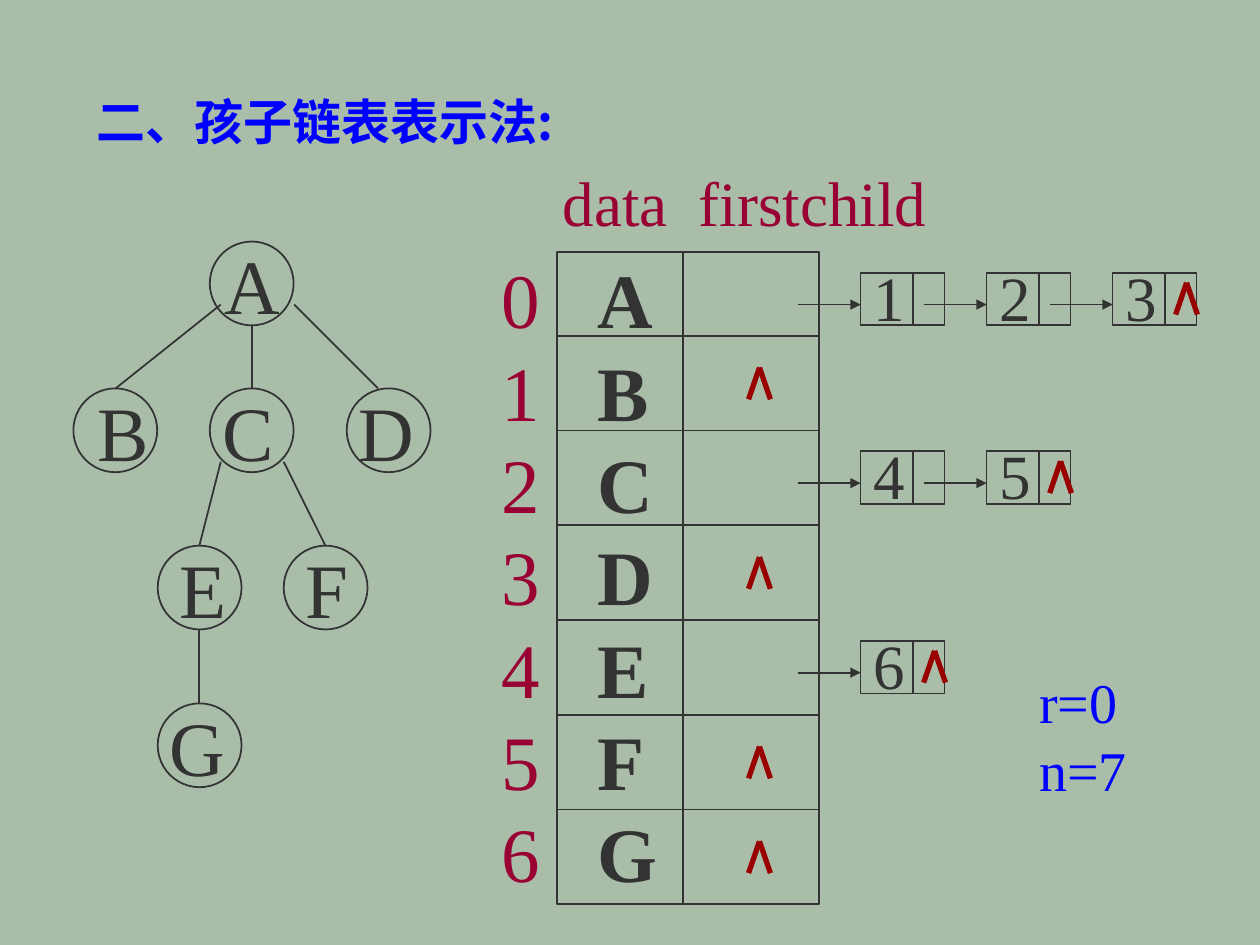
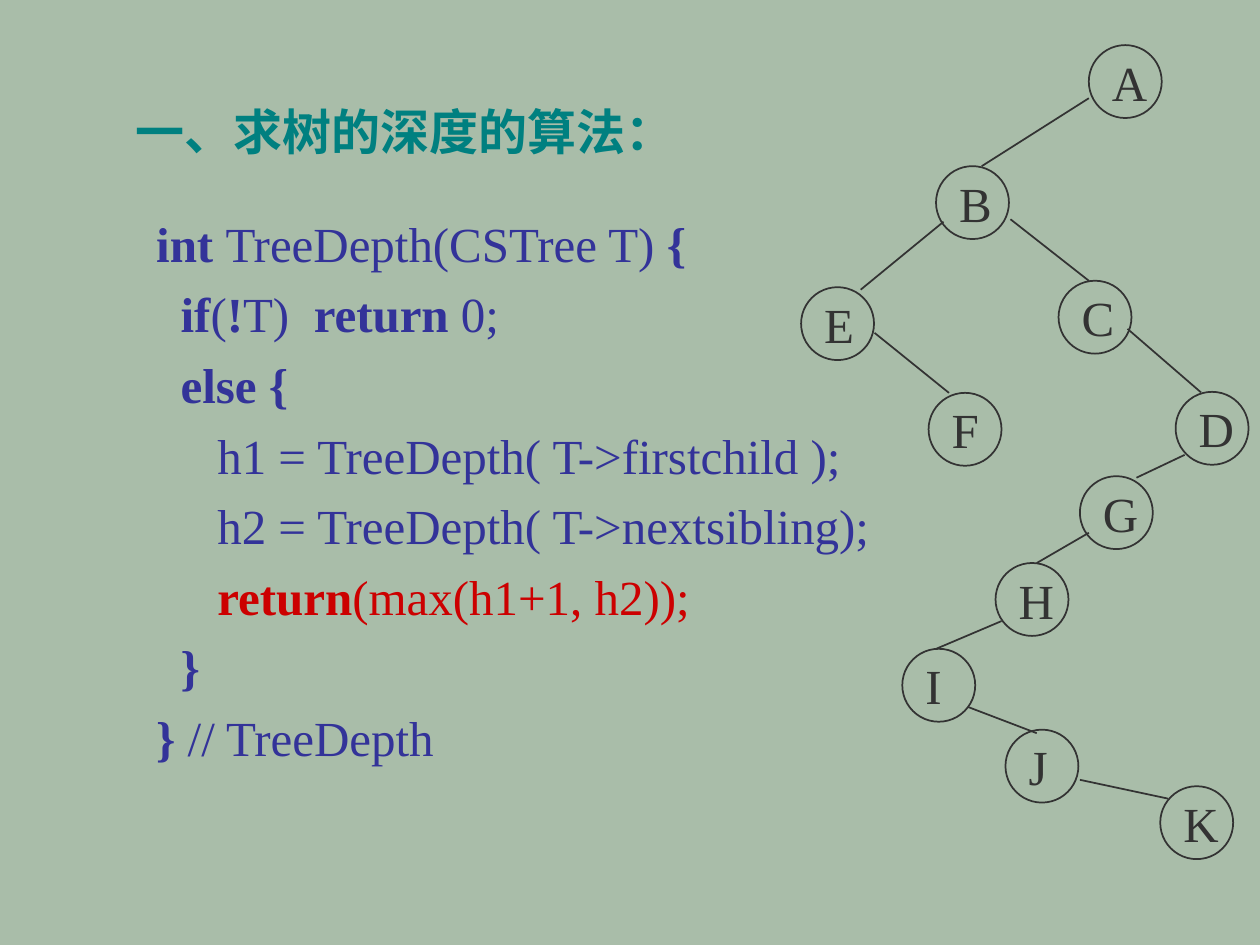
from lxml import etree
from pptx import Presentation
from pptx.dml.color import RGBColor
from pptx.enum.shapes import MSO_CONNECTOR, MSO_SHAPE
from pptx.enum.text import MSO_ANCHOR, PP_ALIGN
from pptx.oxml.ns import qn
from pptx.util import Cm, Pt

OVAL, RECTANGLE = MSO_SHAPE.OVAL, MSO_SHAPE.RECTANGLE
STRAIGHT = MSO_CONNECTOR.STRAIGHT
MIDDLE, LEFT = MSO_ANCHOR.MIDDLE, PP_ALIGN.LEFT

BACKGROUND = RGBColor(0xA9, 0xBD, 0xA9)
INK = RGBColor(0x33, 0x33, 0x33)
CRIMSON = RGBColor(0x99, 0x00, 0x33)
NULL_RED = RGBColor(0x99, 0x00, 0x00)
BLUE = RGBColor(0x00, 0x00, 0xFF)
TEAL = RGBColor(0x00, 0x80, 0x80)
CODE_BLUE = RGBColor(0x33, 0x33, 0x99)
CODE_RED = RGBColor(0xCC, 0x00, 0x00)
LATIN_FONT, CHINESE_FONT = "Times New Roman", "Noto Sans CJK SC"

# Child-list slide: lengths in cm
CHILD_LIST_TITLE = "二、孩子链表表示法:"
# letter: (left, top, text inset)
CHILD_NODES = {
    "A": (4.23, 4.87, 0.05), "B": (1.48, 7.83, 0.23), "C": (4.23, 7.83, 0),
    "D": (6.99, 7.83, 0), "E": (3.18, 11, 0.2), "F": (5.72, 11, 0.2),
    "G": (3.18, 14.18, 0),
}
CHILD_EDGES = [
    (5.93, 6.14, 7.62, 7.83), (4.45, 6.14, 2.33, 7.83), (5.08, 6.56, 5.08, 7.83),
    (4.45, 9.31, 4.02, 11), (5.72, 9.31, 6.56, 11), (4.02, 12.7, 4.02, 14.18),
]
HEADINGS = [("data", 11.1, 3), ("firstchild", 13.84, 5.5)]
# Each row: data and the indices of its children
ROWS = [("A", "123"), ("B", ""), ("C", "45"), ("D", ""), ("E", "6"), ("F", ""), ("G", "")]
ROOT_AND_COUNT = ["r=0", "n=7"]

# Depth slide
DEPTH_TITLE = "一、求树的深度的算法："
# Each line: colour and its (text, bold) runs
CODE = [
    (CODE_BLUE, [("int ", True), ("TreeDepth(CSTree T) ", False), ("{", True)]),
    (CODE_BLUE, [("  ", False), ("if", True), ("(", False), ("!", True),
                 ("T)  ", False), ("return", True), (" 0;", False)]),
    (CODE_BLUE, [("  ", False), ("else {", True)]),
    (CODE_BLUE, [("     h1 = TreeDepth( T->firstchild );", False)]),
    (CODE_BLUE, [("     h2 = TreeDepth( T->nextsibling);", False)]),
    (CODE_RED, [("     ", False), ("return", True), ("(max(h1+1, h2));", False)]),
    (CODE_BLUE, [("  }", True)]),
    (CODE_BLUE, [("}", True), (" // TreeDepth", False)]),
]
DEPTH_INSET = 0.25
DEPTH_NODES = {
    "A": (21.95, 0.91), "B": (18.87, 3.35), "C": (21.34, 5.66), "D": (23.7, 7.9),
    "E": (16.15, 5.79), "F": (18.72, 7.92), "G": (21.77, 9.6), "H": (20.07, 11.35),
    "I": (18.19, 13.08), "J": (20.27, 14.71), "K": (23.39, 15.85),
}
DEPTH_EDGES = [
    (20.37, 4.42, 21.95, 5.66), (21.95, 1.98, 19.79, 3.35), (22.73, 6.63, 24.21, 7.91),
    (19.02, 4.47, 17.35, 5.84), (19.13, 7.92, 17.63, 6.71), (23.88, 9.17, 22.91, 9.63),
    (21.95, 10.74, 20.9, 11.35), (19.51, 14.25, 20.9, 14.78),
    (20.19, 12.52, 18.87, 13.08), (21.77, 15.72, 23.55, 16.1),
]


# Shared helpers
def set_values(target, values):
    for name, value in values.items():
        setattr(target, name, value)


def add_run(paragraph, text, size, color, bold=False, font=LATIN_FONT):
    run = paragraph.add_run()
    run.text = text
    set_values(run.font, {"name": font, "size": Pt(size), "bold": bold})
    run.font.color.rgb = color
    if font == CHINESE_FONT:
        properties = run.font._element
        etree.SubElement(properties, qn("a:ea")).set("typeface", font)


def add_text(slide, box, lines, size, spacing=None, font=LATIN_FONT):
    """Add a text box; each line is a colour and its (text, bold) runs."""
    frame = slide.shapes.add_textbox(*map(Cm, box)).text_frame
    frame.word_wrap = True
    for index, (color, runs) in enumerate(lines):
        paragraph = frame.add_paragraph() if index else frame.paragraphs[0]
        if spacing:
            paragraph.line_spacing = spacing
        for text, bold in runs:
            add_run(paragraph, text, size, color, bold, font)


def add_column(slide, box, texts, size, color, bold=False):
    add_text(slide, box, [(color, [(text, bold)]) for text in texts], size)


def add_title(slide, box, text, color):
    add_text(slide, box, [(color, [(text, True)])], 28, font=CHINESE_FONT)


def add_outline(slide, kind, box, text="", size=36, **frame_values):
    shape = slide.shapes.add_shape(kind, *map(Cm, box))
    shape.shadow.inherit = False
    shape.fill.background()
    shape.line.color.rgb = INK
    shape.line.width = Pt(1)
    if text:
        set_values(shape.text_frame, {"vertical_anchor": MIDDLE, **frame_values})
        paragraph = shape.text_frame.paragraphs[0]
        paragraph.alignment = LEFT
        add_run(paragraph, text, size, INK)


def add_line(slide, ends, color=INK, width=1, arrow=False):
    connector = slide.shapes.add_connector(STRAIGHT, *map(Cm, ends))
    connector.line.color.rgb = color
    connector.line.width = Pt(width)
    if arrow:
        line = connector.line._get_or_add_ln()
        etree.SubElement(line, qn("a:tailEnd")).set("type", "triangle")
    etree.SubElement(connector._element.spPr, qn("a:effectLst"))


def add_tree_node(slide, letter, left, top, diameter, size, inset):
    add_outline(slide, OVAL, (left, top, diameter, diameter), letter, size,
                word_wrap=False, margin_left=Cm(inset), margin_right=0)


def add_null_mark(slide, x, y):
    for offset in (-0.22, 0.22):
        add_line(slide, (x, y, x + offset, y + 0.64), NULL_RED, 3)


def add_chain(slide, children, row_top):
    top = row_top + 0.42
    width, height, divider, step = 1.69, 1.06, 1.06, 2.54
    for index, child in enumerate(children):
        left = 17.35 + step * index
        add_outline(slide, RECTANGLE, (left, top, width, height), child,
                    margin_left=Cm(0.25), margin_right=0,
                    margin_top=0, margin_bottom=Cm(0.13))
        add_line(slide, (left + divider, top, left + divider, top + height))
        add_line(slide, (left - 1.27, top + 0.64, left, top + 0.64), arrow=True)
    add_null_mark(slide, left + 1.49, top + 0.2)


def add_slide(presentation):
    slide = presentation.slides.add_slide(presentation.slide_layouts[6])
    slide.background.fill.solid()
    slide.background.fill.fore_color.rgb = BACKGROUND
    return slide


def build_child_list(slide):
    add_title(slide, (1.7, 1.73, 12.19, 1.45), CHILD_LIST_TITLE, BLUE)

    # Tree
    for letter, (left, top, inset) in CHILD_NODES.items():
        add_tree_node(slide, letter, left, top, 1.69, 44, inset)
    for ends in CHILD_EDGES:
        add_line(slide, ends)

    # Array frame
    left, top, width, first_height, row_height = 11.23, 5.08, 5.28, 1.69, 1.91
    row_tops = [top] + [top + first_height + row_height * index
                        for index in range(len(ROWS) - 1)]
    bottom = row_tops[-1] + row_height
    add_outline(slide, RECTANGLE, (left, top, width, bottom - top))
    for y in row_tops[1:]:
        add_line(slide, (left, y, left + width, y))
    add_line(slide, (13.77, top, 13.77, bottom))

    # Array labels
    for text, heading_left, heading_width in HEADINGS:
        add_column(slide, (heading_left, 3.18, heading_width, 1.78), [text], 36, CRIMSON)
    indices = [str(index) for index in range(len(ROWS))]
    add_column(slide, (9.86, 4.95, 1.5, 13.41), indices, 44, CRIMSON)
    add_column(slide, (11.79, 4.95, 2, 13.41), [data for data, _ in ROWS], 44, INK, True)

    # Child chains and null pointers
    for (_, children), row_top in zip(ROWS, row_tops):
        if children:
            add_chain(slide, children, row_top)
        else:
            add_null_mark(slide, 15.31, row_top + 0.64)
    add_column(slide, (20.7, 13.34, 2.8, 2.97), ROOT_AND_COUNT, 32, BLUE)


def build_depth(slide):
    add_title(slide, (2.49, 1.93, 12.45, 1.45), DEPTH_TITLE, TEAL)
    add_text(slide, (2.9, 3.94, 18.21, 11.66), CODE, 28, spacing=1.2)
    for letter, (left, top) in DEPTH_NODES.items():
        add_tree_node(slide, letter, left, top, 1.47, 28, DEPTH_INSET)
    for ends in DEPTH_EDGES:
        add_line(slide, ends)


def main():
    presentation = Presentation()
    presentation.slide_width, presentation.slide_height = Cm(25.4), Cm(19.05)
    build_child_list(add_slide(presentation))
    build_depth(add_slide(presentation))
    presentation.save("out.pptx")


if __name__ == "__main__":
    main()
